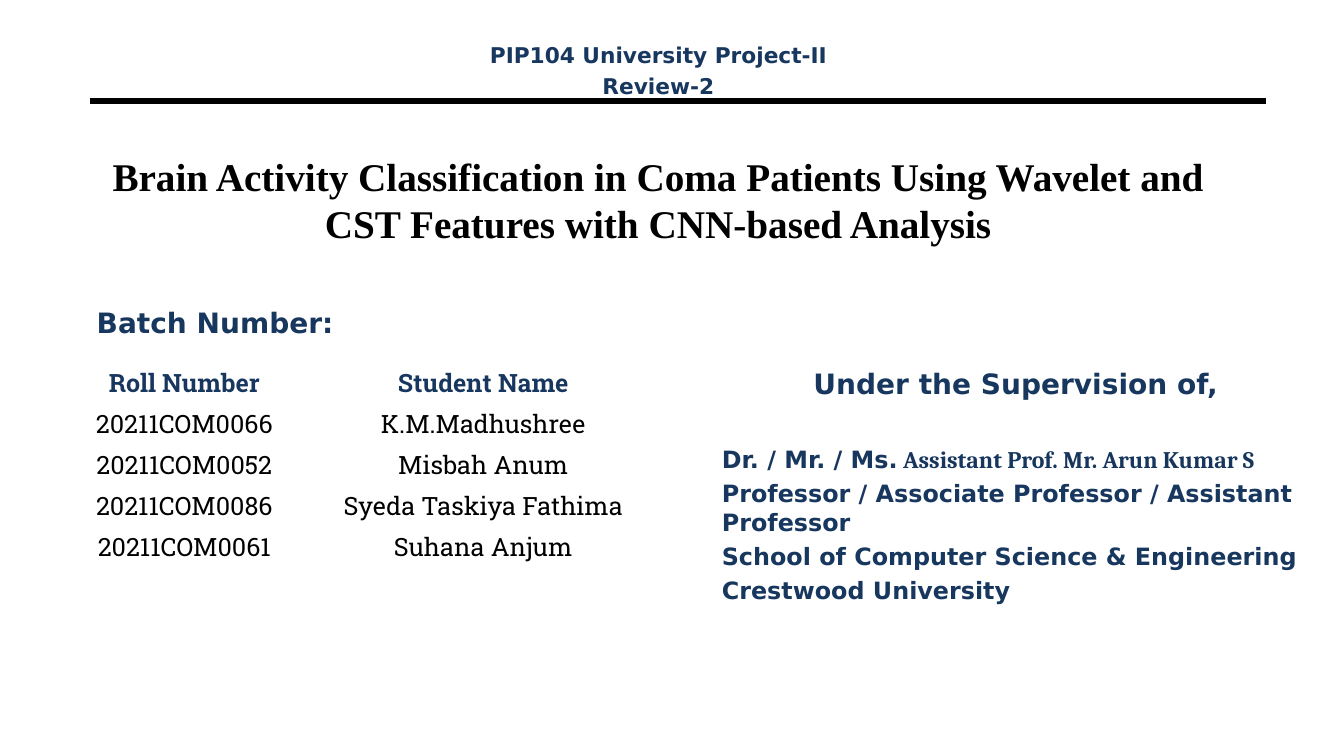
import lxml.etree
import pptx
import pptx.dml.color
import pptx.enum.shapes
import pptx.enum.text
import pptx.oxml.ns
import pptx.util

Pt = pptx.util.Pt
ALIGN = pptx.enum.text.PP_ALIGN
MIDDLE = pptx.enum.text.MSO_ANCHOR.MIDDLE
TOP = pptx.enum.text.MSO_ANCHOR.TOP

NAVY = "17375E"
BLACK = "000000"
HEADING = {"name": "DejaVu Sans", "size": Pt(20), "bold": True}
DETAIL = {**HEADING, "size": Pt(17)}
GUIDE = {**DETAIL, "name": "Cambria"}
COURSE = {**HEADING, "size": Pt(15.5)}
TITLE = {"name": "Times New Roman", "size": Pt(28), "bold": True}
STUDENT = {"name": "Roboto Slab", "size": Pt(18), "bold": False}
STUDENT_HEADER = {**STUDENT, "bold": True}

STUDENTS = [
    ("Roll Number", "Student Name"),
    ("20211COM0066", "K.M.Madhushree"),
    ("20211COM0052", "Misbah Anum"),
    ("20211COM0086", "Syeda Taskiya Fathima"),
    ("20211COM0061", "Suhana Anjum"),
    ("", ""),
]


def rgb(code):
    return pptx.dml.color.RGBColor.from_string(code)


def write(paragraph, words, font_values, color=NAVY):
    """Add one formatted run to a paragraph."""
    run = paragraph.add_run()
    run.text = words
    for key, value in font_values.items():
        setattr(run.font, key, value)
    run.font.color.rgb = rgb(color)


def fill_frame(frame, lines):
    """Write lines of (runs, alignment, space before in points)."""
    frame.word_wrap = True
    for number, (runs, alignment, space) in enumerate(lines):
        paragraph = frame.add_paragraph() if number else frame.paragraphs[0]
        paragraph.alignment = alignment
        paragraph.space_before = Pt(space)
        for run in runs:
            write(paragraph, *run)


def add_text(slide, left, top, width, height, lines):
    box = slide.shapes.add_textbox(Pt(left), Pt(top), Pt(width), Pt(height))
    box.text_frame.vertical_anchor = TOP
    fill_frame(box.text_frame, lines)


def place_title(slide, left, top, width, height, words):
    title = slide.shapes.title
    place = {"left": left, "top": top, "width": width, "height": height}
    for key, value in place.items():
        setattr(title, key, Pt(value))
    title.text_frame.vertical_anchor = MIDDLE
    fill_frame(title.text_frame, [([(words, TITLE, BLACK)], ALIGN.CENTER, 0)])


def add_rule(slide, left, right, y):
    rule = slide.shapes.add_connector(
        pptx.enum.shapes.MSO_CONNECTOR.STRAIGHT, Pt(left), Pt(y), Pt(right), Pt(y))
    rule.line.width = Pt(4.5)
    rule.line.color.rgb = rgb(BLACK)
    properties = rule._element.spPr
    lxml.etree.SubElement(properties, pptx.oxml.ns.qn("a:effectLst"))


def add_students(slide, left, top, widths, row_height):
    table = slide.shapes.add_table(
        len(STUDENTS), len(widths), Pt(left), Pt(top),
        Pt(sum(widths)), Pt(row_height * len(STUDENTS))).table
    table.first_row = table.horz_banding = False
    for column, width in zip(table.columns, widths):
        column.width = Pt(width)
    for row, entries in enumerate(STUDENTS):
        table.rows[row].height = Pt(row_height)
        style, color = (STUDENT, BLACK) if row else (STUDENT_HEADER, NAVY)
        for column, words in enumerate(entries):
            cell = table.cell(row, column)
            cell.fill.background()
            cell.vertical_anchor = MIDDLE
            if words:
                fill_frame(cell.text_frame, [([(words, style, color)], ALIGN.CENTER, 0)])


def main():
    deck = pptx.Presentation()
    deck.slide_width, deck.slide_height = Pt(960), Pt(540)
    slide = deck.slides.add_slide(deck.slide_layouts[5])

    add_rule(slide, 64, 904.5, 72)
    place_title(slide, 62, 84.5, 816, 116,
                "Brain Activity Classification in Coma Patients Using Wavelet and "
                "CST Features with CNN-based Analysis")
    add_text(slide, 62, 214.5, 312.5, 43,
             [([("Batch Number:", HEADING)], ALIGN.LEFT, 0)])
    add_students(slide, 49.7, 258, (164, 263), 29.2)
    add_text(slide, 508.5, 258, 434, 191.5, [
        ([("Under the Supervision of,", HEADING)], ALIGN.CENTER, 0),
        ([("Dr. / Mr. / Ms.", DETAIL),
          (" Assistant Prof. Mr. Arun Kumar S", GUIDE, "17365D")], ALIGN.LEFT, 32),
        ([("Professor / Associate Professor / Assistant Professor", DETAIL)],
         ALIGN.LEFT, 4),
        ([("School of Computer Science & Engineering", DETAIL)], ALIGN.LEFT, 4),
        ([("Crestwood University", DETAIL)], ALIGN.LEFT, 4),
    ])
    add_text(slide, 314, 26.6, 312.5, 43, [
        ([("PIP104 University Project-II", COURSE)], ALIGN.CENTER, 0),
        ([("Review-2", COURSE)], ALIGN.CENTER, 3.5),
    ])
    deck.save("out.pptx")


if __name__ == "__main__":
    main()
